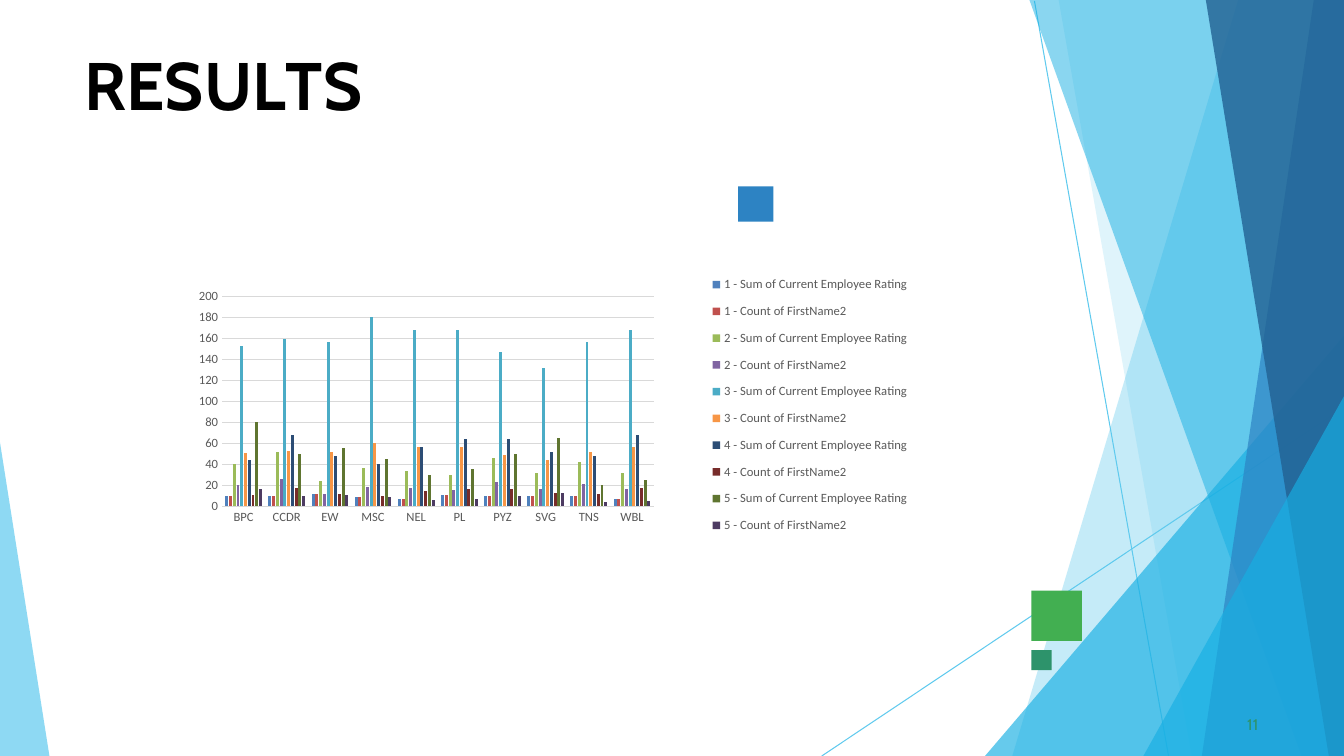
from lxml import etree
from pptx import Presentation
from pptx.chart import data as cd
from pptx.dml.color import RGBColor
from pptx.enum import chart as ec, shapes as es, text as et
from pptx.oxml import parse_xml
from pptx.oxml.ns import nsdecls, qn
from pptx.util import Inches, Pt

SKY = RGBColor(0x5F, 0xCA, 0xEE)
CYAN = RGBColor(0x17, 0xAF, 0xE3)
BLUE = RGBColor(0x2D, 0x83, 0xC3)
NAVY = RGBColor(0x22, 0x61, 0x92)
GREEN = RGBColor(0x42, 0xAF, 0x51)
TEAL = RGBColor(0x2D, 0x93, 0x6B)
BLACK = RGBColor(0, 0, 0)
GRAY = RGBColor(0x59, 0x59, 0x59)
PALE = RGBColor(0xD9, 0xD9, 0xD9)
HUES = [RGBColor.from_string(h) for h in (
    "4F81BD", "C0504D", "9BBB59", "8064A2", "4BACC6",
    "F79646", "2C4D75", "772C2A", "5F7530", "4D3B62")]
WIDE, HIGH = 13.33, 7.5

prs = Presentation()
prs.slide_width, prs.slide_height = Inches(WIDE), Inches(HIGH)
slide = prs.slides.add_slide(prs.slide_layouts[6])
shapes = slide.shapes

for x1, y1, x2, y2 in ((10.26, 0.01, 11.59, HIGH), (WIDE, 4.04, 8.15, HIGH)):
    line = shapes.add_connector(
        es.MSO_CONNECTOR.STRAIGHT, Inches(x1), Inches(y1), Inches(x2), Inches(y2))
    line.line.color.rgb = SKY
    line.line.width = Pt(0.75)
    etree.SubElement(line._element.spPr, qn("a:effectLst"))

TOP, BASE = (WIDE, 0), (WIDE, HIGH)
facets = [
    ([TOP, (12.28, 0), (10.04, HIGH), BASE], SKY, 36),
    ([TOP, (10.5, 0), (11.82, HIGH), BASE], SKY, 20),
    ([(WIDE, 3.33), (9.77, HIGH), BASE], CYAN, 66),
    ([TOP, (10.21, 0), (12.91, HIGH), BASE], CYAN, 50),
    ([TOP, (13.03, 0), (11.92, HIGH), BASE], BLUE, 70),
    ([TOP, (11.96, 0), (13.18, HIGH), BASE], NAVY, 80),
    ([(WIDE, 3.93), (11.34, HIGH), BASE], CYAN, 66),
    ([(0, 4.39), (0, HIGH), (0.49, HIGH)], SKY, 70),
]
for points, hue, alpha in facets:
    points = [(Inches(x), Inches(y)) for x, y in points]
    pen = shapes.build_freeform(*points[0])
    pen.add_line_segments(points[1:], close=True)
    facet = pen.convert_to_shape()
    facet.shadow.inherit = False
    facet.fill.solid()
    facet.fill.fore_color.rgb = hue
    facet.line.fill.background()
    clr = facet._element.spPr.find(qn("a:solidFill"))[0]
    etree.SubElement(clr, qn("a:alpha")).set("val", str(alpha * 1000))

for x, y, side, hue in (
        (10.23, 5.86, 0.5, GREEN), (7.32, 1.85, 0.35, BLUE), (10.23, 6.45, 0.2, TEAL)):
    square = shapes.add_shape(
        es.MSO_SHAPE.RECTANGLE, Inches(x), Inches(y), Inches(side), Inches(side))
    square.shadow.inherit = False
    square.fill.solid()
    square.fill.fore_color.rgb = hue
    square.line.fill.background()

labels = [
    ((0.83, 0.42, 11.68, 0.83), 0.01, 1.1, 48, True, BLACK,
     [("R", 0), ("E", -40), ("S", 10), ("U", -30), ("L", -400), ("TS", 0)]),
    ((12.33, 7.08, 0.25, 0.21), 0.04, 0.6, 11, False, TEAL, [("11", 10)]),
]
for spot, indent, before, size, bold, hue, parts in labels:
    frame = shapes.add_textbox(*map(Inches, spot)).text_frame
    frame.word_wrap = True
    frame.auto_size = et.MSO_AUTO_SIZE.SHAPE_TO_FIT_TEXT
    frame.margin_left = frame.margin_right = frame.margin_bottom = 0
    frame.margin_top = Inches(0.01)
    para = frame.paragraphs[0]
    para.space_before = Pt(before)
    para._p.get_or_add_pPr().set("marL", str(Inches(indent)))
    for word, gap in parts:
        run = para.add_run()
        run.text = word
        run.font.name = "Cabin"
        run.font.size = Pt(size)
        run.font.bold = bold
        run.font.color.rgb = hue
        run._r.get_or_add_rPr().set("spc", str(gap))

counts = [
    [10, 10, 12, 9, 7, 11, 10, 10, 10, 7],
    [20, 26, 12, 18, 17, 15, 23, 16, 21, 16],
    [51, 53, 52, 60, 56, 56, 49, 44, 52, 56],
    [11, 17, 12, 10, 14, 16, 16, 13, 12, 17],
    [16, 10, 11, 9, 6, 7, 10, 13, 4, 5],
]
data = cd.CategoryChartData()
data.categories = ["BPC", "CCDR", "EW", "MSC", "NEL", "PL", "PYZ", "SVG", "TNS", "WBL"]
for rating, count in enumerate(counts, 1):
    data.add_series(f"{rating} - Sum of Current Employee Rating",
                    [rating * n for n in count])
    data.add_series(f"{rating} - Count of FirstName2", count)

chart = shapes.add_chart(
    ec.XL_CHART_TYPE.COLUMN_CLUSTERED,
    Inches(1.58), Inches(1.65), Inches(7.59), Inches(4.27), data).chart
chart.has_title = False
chart.font.name = "Calibri"
chart.font.size = Pt(10)
chart.font.color.rgb = BLACK
plot = chart.plots[0]
plot.gap_width, plot.overlap = 219, -27
plot.vary_by_categories = False
for series, hue in zip(plot.series, HUES):
    series.format.fill.solid()
    series.format.fill.fore_color.rgb = hue
    series.invert_if_negative = False

chart.has_legend = True
legend = chart.legend
legend.position = ec.XL_LEGEND_POSITION.RIGHT
legend.include_in_layout = False
cats, vals = chart.category_axis, chart.value_axis
for part in (cats.tick_labels, vals.tick_labels, legend):
    part.font.name = "Calibri"
    part.font.size = Pt(9)
    part.font.color.rgb = GRAY
for axis in (cats, vals):
    axis.major_tick_mark = axis.minor_tick_mark = ec.XL_TICK_MARK.NONE
vals.minimum_scale, vals.maximum_scale, vals.major_unit = 0, 200, 20
vals.has_major_gridlines = True
vals.format.line.fill.background()
for rule in (cats.format.line, vals.major_gridlines.format.line):
    rule.color.rgb = PALE
    rule.width = Pt(0.75)


def layout(x, y, w, h, inner=""):
    return parse_xml(
        f'<c:layout {nsdecls("c")}><c:manualLayout>{inner}'
        '<c:xMode val="edge"/><c:yMode val="edge"/>'
        f'<c:x val="{x}"/><c:y val="{y}"/><c:w val="{w}"/><c:h val="{h}"/>'
        '</c:manualLayout></c:layout>')


area = chart._chartSpace.chart.plotArea
for old in area.findall(qn("c:layout")):
    area.remove(old)
area.insert(0, layout(0.082, 0.302, 0.564, 0.488, '<c:layoutTarget val="inner"/>'))
key = legend._element
for old in key.findall(qn("c:layout")):
    key.remove(old)
key.find(qn("c:legendPos")).addnext(layout(0.71, 0.23, 0.28, 0.65))

prs.save("out.pptx")
